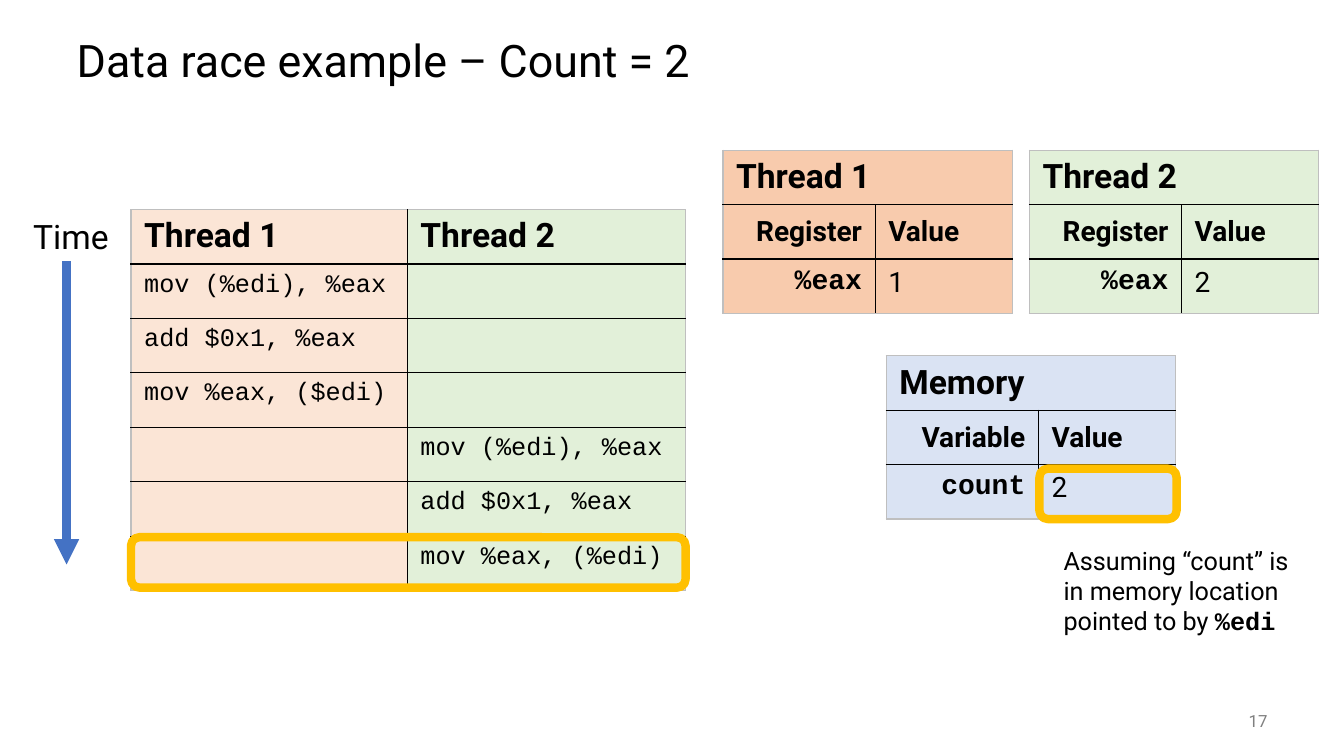
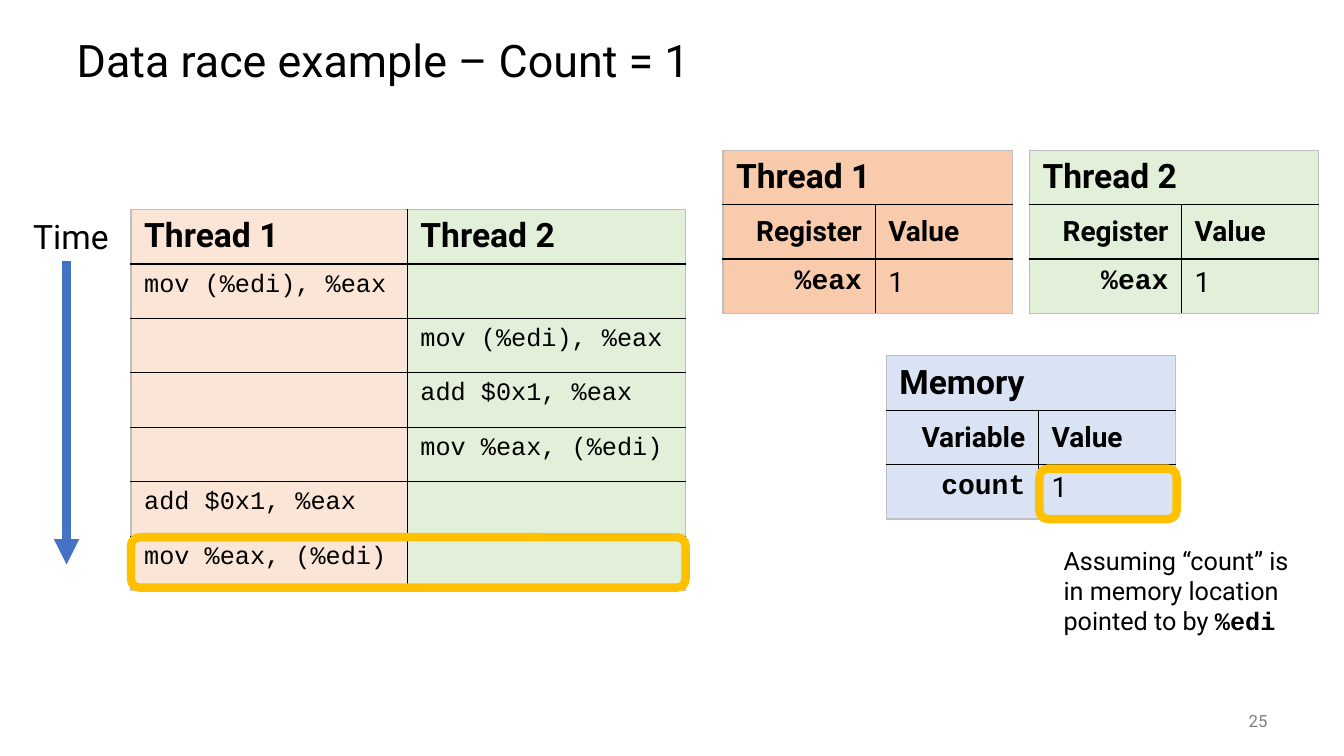
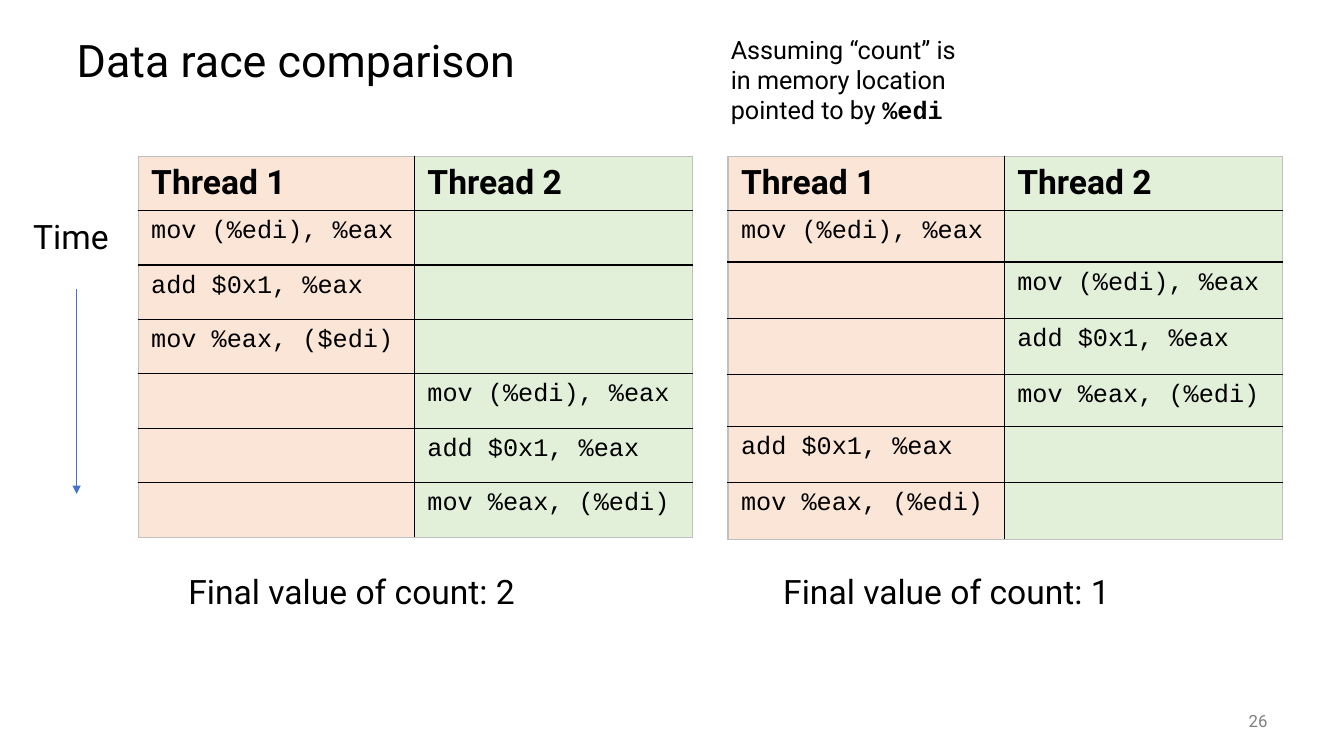
import dataclasses

import lxml.etree
import pptx
import pptx.dml.color
import pptx.enum.shapes
import pptx.enum.text
import pptx.oxml.ns
import pptx.util

Inches = pptx.util.Inches
Pt = pptx.util.Pt
ALIGN = pptx.enum.text.PP_ALIGN
ANCHOR = pptx.enum.text.MSO_ANCHOR
SHAPE = pptx.enum.shapes.MSO_SHAPE


@dataclasses.dataclass(frozen=True)
class Theme:
    sans: str = "Roboto"
    mono: str = "Courier New"
    ink: str = "000000"
    edge: str = "BFBFBF"
    page: str = "808080"
    arrow: str = "4472C4"
    mark: str = "FFC000"
    peach: str = "FBE5D6"
    orange: str = "F8CBAD"
    green: str = "E2F0D9"
    blue: str = "DAE3F3"
    title: int = 32
    head: int = 24
    label: int = 20
    text: int = 18
    small: int = 12


T = Theme()
ROW = 0.54
LANES = (2.74, 2.76)
PAIR = (1.51, 1.36)
LOAD, ADD, STORE = "mov (%edi), %eax", "add $0x1, %eax", "mov %eax, (%edi)"
# Each step is a thread (0 or 1) and the instruction it runs.
SERIAL = [(0, LOAD), (0, ADD), (0, "mov %eax, ($edi)"),
          (1, LOAD), (1, ADD), (1, STORE)]
MIXED = [(0, LOAD), (1, LOAD), (1, ADD), (1, STORE), (0, ADD), (0, STORE)]


def color(code):
    return pptx.dml.color.RGBColor.from_string(code)


def style(font, size, face=T.sans, bold=False, ink=T.ink):
    font.size, font.name, font.bold = Pt(size), face, bold
    font.color.rgb = color(ink)


def child(node, tag, **attrs):
    return lxml.etree.SubElement(node, pptx.oxml.ns.qn(tag), **attrs)


def write(slide, box, text, size, ink=T.ink, align=ALIGN.LEFT, anchor=ANCHOR.TOP):
    frame = slide.shapes.add_textbox(*map(Inches, box)).text_frame
    frame.word_wrap = True
    frame.vertical_anchor = anchor
    para = frame.paragraphs[0]
    para.text, para.alignment = text, align
    style(para.font, size, ink=ink)
    return para


def start(deck, title, page):
    """Add a slide with its title and page number."""
    slide = deck.slides.add_slide(deck.slide_layouts[5])
    head = slide.shapes.title
    head.left, head.top, head.width, head.height = map(Inches, (0.66, 0.25, 12, 0.75))
    head.text_frame.text = title
    head.text_frame.vertical_anchor = ANCHOR.MIDDLE
    para = head.text_frame.paragraphs[0]
    para.alignment, para.line_spacing = ALIGN.LEFT, 0.9
    style(para.font, T.title)
    write(slide, (11.67, 6.95, 1, 0.4), str(page), T.small, T.page,
          ALIGN.RIGHT, ANCHOR.MIDDLE)
    return slide


def border(cell, outer):
    """Draw the four sides; outer tells which lie on the table's edge."""
    props = cell._tc.get_or_add_tcPr()
    for side, edge in zip("LRTB", outer):
        line = child(props, "a:ln" + side, w=str(Pt(1)))
        fill = child(line, "a:solidFill")
        child(fill, "a:srgbClr", val=T.edge if edge else T.ink)


def grid(slide, left, top, cols, rows):
    shape = slide.shapes.add_table(
        len(rows), len(cols), Inches(left), Inches(top),
        Inches(sum(cols)), Inches(sum(rows)))
    table = shape.table
    table.first_row = table.horz_banding = False
    for col, width in zip(table.columns, cols):
        col.width = Inches(width)
    for row, height in zip(table.rows, rows):
        row.height = Inches(height)
    return table


def paint(table, fills):
    """Set borders, margins and one fill per column."""
    last_row, last_col = len(table.rows) - 1, len(table.columns) - 1
    for r in range(last_row + 1):
        for c, code in enumerate(fills):
            cell = table.cell(r, c)
            if cell.is_spanned:
                continue
            right = c + cell.span_width - 1 if cell.is_merge_origin else c
            border(cell, (c == 0, right == last_col, r == 0, r == last_row))
            cell.fill.solid()
            cell.fill.fore_color.rgb = color(code)
            cell.margin_left = cell.margin_right = Inches(0.13)
            cell.margin_top = cell.margin_bottom = Inches(0.07)


def put(cell, text, size, face=T.sans, bold=False, align=ALIGN.LEFT):
    para = cell.text_frame.paragraphs[0]
    para.text, para.alignment = text, align
    style(para.font, size, face, bold)


def lanes(slide, left, top, steps, rows=(ROW,) * 7):
    """Table of two threads, with one row per step in time."""
    table = grid(slide, left, top, LANES, rows)
    for c in range(2):
        put(table.cell(0, c), f"Thread {c + 1}", T.head, bold=True)
    for r, (lane, code) in enumerate(steps, 1):
        put(table.cell(r, lane), code, T.text, T.mono)
    paint(table, (T.peach, T.green))


def state(slide, left, top, title, kind, name, value, fill):
    """Small table with one named value."""
    table = grid(slide, left, top, PAIR, (ROW,) * 3)
    table.cell(0, 0).merge(table.cell(0, 1))
    put(table.cell(0, 0), title, T.head, bold=True)
    for c, (text, align) in enumerate(((kind, ALIGN.RIGHT), ("Value", ALIGN.LEFT))):
        put(table.cell(1, c), text, T.label, bold=True, align=align)
        table.cell(1, c).vertical_anchor = ANCHOR.MIDDLE
    put(table.cell(2, 0), name, T.label, T.mono, True, ALIGN.RIGHT)
    put(table.cell(2, 1), str(value), T.label)
    paint(table, (fill, fill))


def mark(slide, left, top, width):
    ring = slide.shapes.add_shape(
        SHAPE.ROUNDED_RECTANGLE, *map(Inches, (left, top, width, 0.5)))
    ring.shadow.inherit = False
    ring.fill.background()
    ring.line.color.rgb = color(T.mark)
    ring.line.width = Pt(6)


def clock(slide, x, top, end, weight):
    """Time label with an arrow down."""
    write(slide, (0.23, 2.09, 1.09, 0.5), "Time", T.head)
    arrow = slide.shapes.add_connector(
        pptx.enum.shapes.MSO_CONNECTOR.STRAIGHT, *map(Inches, (x, top, x, end)))
    arrow.line.color.rgb = color(T.arrow)
    arrow.line.width = Pt(weight)
    child(arrow.line._get_or_add_ln(), "a:tailEnd", type="triangle")
    child(arrow._element.spPr, "a:effectLst")


def note(slide, left, top):
    para = write(slide, (left, top, 2.44, 1.01),
                 "Assuming “count” is in memory location pointed to by ", T.text)
    run = para.add_run()
    run.text = "%edi"
    run.font.name, run.font.bold = T.mono, True


def example(deck, page, steps, count, values):
    """Slide that follows one order of steps to its final count."""
    slide = start(deck, f"Data race example – Count = {count}", page)
    left, top = 1.3, 2.08
    lanes(slide, left, top, steps)
    clock(slide, 0.66, 2.59, 5.6, 6)
    for i, (value, fill) in enumerate(zip(values, (T.orange, T.green))):
        state(slide, 7.17 + 3.04 * i, 1.49, f"Thread {i + 1}", "Register",
              "%eax", value, fill)
    mem_x, mem_y = 8.79, 3.53
    state(slide, mem_x, mem_y, "Memory", "Variable", "count", count, T.blue)
    mark(slide, left, top + 6 * ROW + 0.01, sum(LANES))
    mark(slide, mem_x + PAIR[0] + 0.01, mem_y + 2 * ROW + 0.04, PAIR[1])
    note(slide, 10.45, 5.36)


def compare(deck, page):
    slide = start(deck, "Data race comparison", page)
    lanes(slide, 1.37, 1.55, SERIAL)
    lanes(slide, 7.22, 1.55, MIXED, (0.51, 0.51, 0.56, 0.56, 0.51, 0.56, 0.56))
    clock(slide, 0.76, 2.87, 4.9, 1)
    for left, count in ((1.77, 2), (7.67, 1)):
        write(slide, (left, 5.61, 4.6, 0.5), f"Final value of count: {count}", T.head)
    note(slide, 7.15, 0.29)


def main():
    deck = pptx.Presentation()
    deck.slide_width, deck.slide_height = Inches(13.33), Inches(7.5)
    example(deck, 17, SERIAL, 2, (1, 2))
    example(deck, 25, MIXED, 1, (1, 1))
    compare(deck, 26)
    deck.save("out.pptx")


if __name__ == "__main__":
    main()
